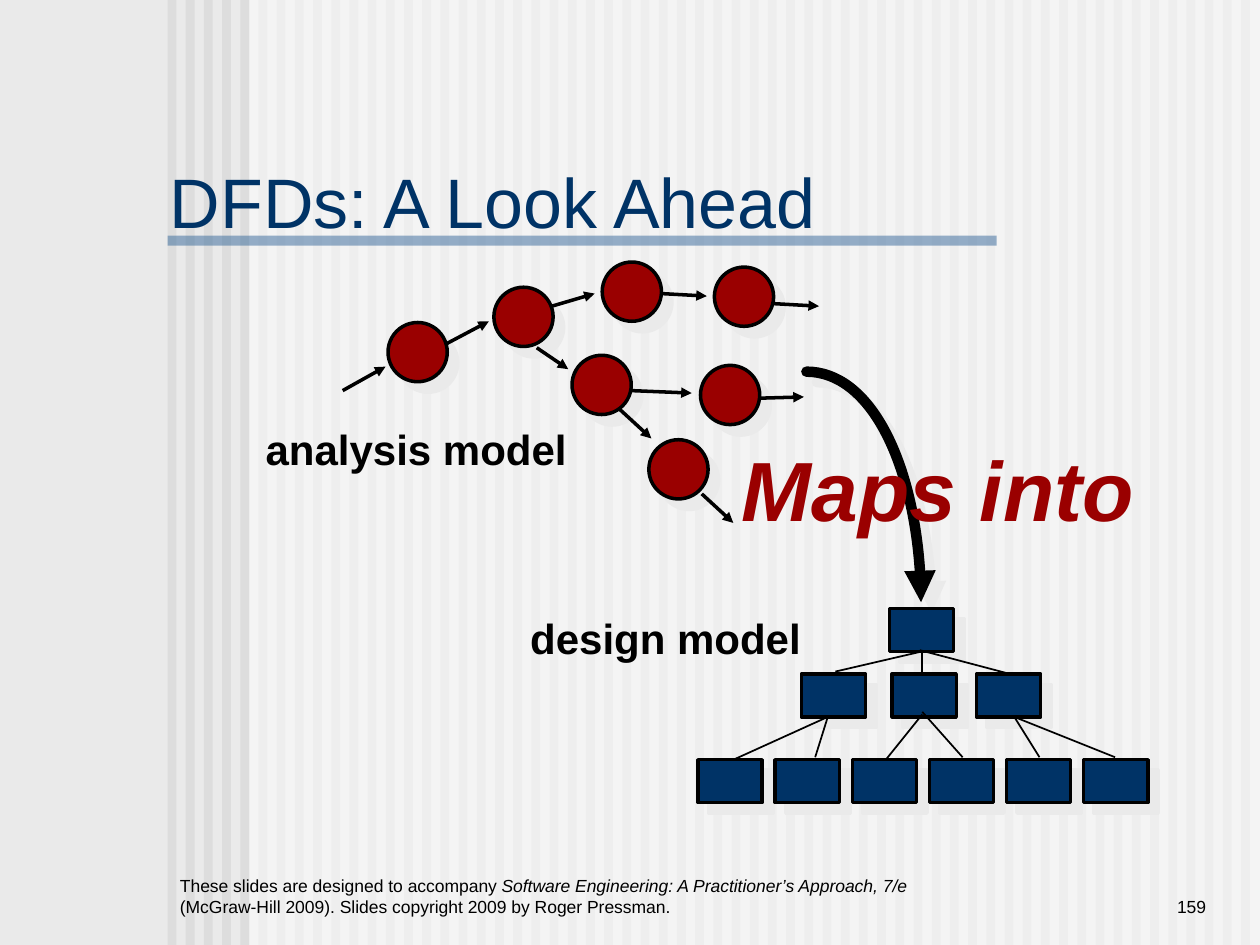
from lxml.etree import SubElement
from pptx import Presentation
from pptx.dml.color import RGBColor
from pptx.enum.shapes import MSO_CONNECTOR as Connector, MSO_SHAPE as Shape
from pptx.enum.text import MSO_ANCHOR as Anchor, PP_ALIGN as Align
from pptx.oxml.ns import qn
from pptx.util import Inches, Pt

color = RGBColor.from_string
BLACK, RED, NAVY, PALE = "000000", "9A0000", "003366", "EAEAEA"

deck = Presentation()
deck.slide_width, deck.slide_height = Inches(10), Inches(7.5)
page = deck.slides.add_slide(deck.slide_layouts[6])
page.background.fill.solid()
page.background.fill.fore_color.rgb = color(PALE)


def style(shape, fill=None, alpha=None, line_width=None, shadow=False):
    """Set the fill, outline and shadow of a shape."""
    properties = shape._element.spPr
    if fill:
        shape.fill.solid()
        shape.fill.fore_color.rgb = color(fill)
    else:
        shape.fill.background()
    if alpha:
        tone = properties.find(qn("a:solidFill")).find(qn("a:srgbClr"))
        SubElement(tone, qn("a:alpha"), val=str(alpha * 1000))
    if line_width:
        shape.line.color.rgb = color(BLACK)
        shape.line.width = Pt(line_width)
    else:
        shape.line.fill.background()
    shape.shadow.inherit = False
    if shadow:
        outer = SubElement(properties.find(qn("a:effectLst")), qn("a:outerShdw"),
                           dist=str(Pt(8.5)), dir="2700000", algn="ctr", rotWithShape="0")
        SubElement(outer, qn("a:srgbClr"), val=PALE)


def add_text(text, left, top, width, height, size=10, fill=BLACK, bold=False,
             italic=False, anchor=Anchor.TOP, align=Align.LEFT, wrap=True):
    """Add a one-paragraph text box; text is a string or (string, italic) pairs."""
    box = page.shapes.add_textbox(Inches(left), Inches(top), Inches(width), Inches(height))
    frame = box.text_frame
    frame.word_wrap, frame.vertical_anchor = wrap, anchor
    para = frame.paragraphs[0]
    para.alignment = align
    for words, slanted in [(text, italic)] if isinstance(text, str) else text:
        span = para.add_run()
        span.text = words
        span.font.name, span.font.size = "Arial", Pt(size)
        span.font.bold, span.font.italic = bold, slanted
        span.font.color.rgb = color(fill)


# Striped backdrop, white veil and title rule
pitch = (9.85 - 1.33) / 59
bands = [(1.33 + pitch * i, 0, 0.07, 7.5, "DDDDDD", None) for i in range(60)]
bands += [(1.98, 0, 8.02, 7.5, "FFFFFF", 50), (1.33, 1.87, 6.58, 0.08, "336699", 50)]
for left, top, width, height, fill, alpha in bands:
    band = page.shapes.add_shape(Shape.RECTANGLE, Inches(left), Inches(top),
                                 Inches(width), Inches(height))
    style(band, fill, alpha)

# Footer
add_text([("These slides are designed to accompany ", False),
          ("Software Engineering: A Practitioner’s Approach, 7/e ", True),
          ("(McGraw-Hill 2009). Slides copyright 2009 by Roger Pressman.", False)],
         1.33, 6.83, 6, 0.5, anchor=Anchor.BOTTOM)
add_text("159", 8.25, 6.83, 1.42, 0.5, anchor=Anchor.BOTTOM, align=Align.RIGHT)

# Curved arrow: the three segments become one Bézier curve
builder = page.shapes.build_freeform(Inches(6.4), Inches(2.95))
builder.add_line_segments([(Inches(x), Inches(y)) for x, y in
                           [(6.9, 2.95), (7.31, 3.77), (7.31, 4.78)]], close=False)
arrow = builder.convert_to_shape()
style(arrow, line_width=6, shadow=True)
outline = next(arrow._element.iter(qn("a:path")))
outline.set("fill", "none")
curve = SubElement(outline, qn("a:cubicBezTo"))
for segment in outline.findall(qn("a:lnTo")):
    curve.append(segment[0])
    outline.remove(segment)
stroke = arrow._element.spPr.find(qn("a:ln"))
stroke.set("cap", "rnd")
SubElement(stroke, qn("a:tailEnd"), type="triangle")

# Title and caption over the arrow
add_text("Maps into", 5.79, 3.42, 3.31, 0.9, size=48, fill=RED, bold=True,
         italic=True, wrap=False)
add_text("DFDs: A Look Ahead", 1.25, 1.25, 6.57, 0.69, size=40, fill=NAVY,
         anchor=Anchor.MIDDLE)

# Analysis model bubbles and design model modules
bubbles = [(3.08, 2.56), (3.92, 2.28), (4.78, 2.08), (4.54, 2.82), (5.15, 3.49),
           (5.67, 2.12), (5.56, 2.9)]
modules = [(7.06, 4.83)] + [(x, 5.35) for x in (6.36, 7.08, 7.75)]
modules += [(5.54 + 0.612 * i, 6.03) for i in range(6)]
for kind, places, width, height, fill in [(Shape.OVAL, bubbles, 0.47, 0.47, RED),
                                          (Shape.RECTANGLE, modules, 0.51, 0.34, NAVY)]:
    for left, top in places:
        node = page.shapes.add_shape(kind, Inches(left), Inches(top),
                                     Inches(width), Inches(height))
        style(node, fill, line_width=2, shadow=True)

# Model labels
add_text("analysis model", 2.01, 3.31, 2.59, 0.5, size=24, bold=True, wrap=False)
add_text("design model", 4.11, 4.81, 2.35, 0.5, size=24, bold=True, wrap=False)

# Data flows (with arrowheads) and module links (plain)
flows = [(2.72, 3.1, 3.06, 2.91), (3.54, 2.73, 3.88, 2.55), (4.38, 2.43, 4.72, 2.33),
         (5.25, 2.33, 5.61, 2.35), (6.14, 2.41, 6.5, 2.43), (4.26, 2.76, 4.51, 2.93),
         (4.92, 3.25, 5.17, 3.48), (5.57, 3.92, 5.82, 4.15), (6.04, 3.16, 6.38, 3.15),
         (5.01, 3.1, 5.49, 3.12)]
links = [(7.32, 5.17, 6.63, 5.33), (7.32, 5.17, 7.32, 5.33), (7.3, 5.16, 8.02, 5.35),
         (6.57, 5.69, 5.82, 6.03), (6.57, 5.69, 6.47, 6.01), (7.32, 5.67, 7.03, 6.03),
         (7.32, 5.65, 7.64, 6.01), (8.05, 5.69, 8.25, 6.01), (8.05, 5.69, 8.85, 6.01)]
for lines, width, headed in [(flows, 2, True), (links, 1, False)]:
    for ends in lines:
        line = page.shapes.add_connector(Connector.STRAIGHT, *map(Inches, ends))
        line.line.color.rgb = color(BLACK)
        line.line.width = Pt(width)
        properties = line._element.spPr
        if headed:
            SubElement(properties.find(qn("a:ln")), qn("a:tailEnd"), type="triangle")
        SubElement(properties, qn("a:effectLst"))

deck.save("out.pptx")
